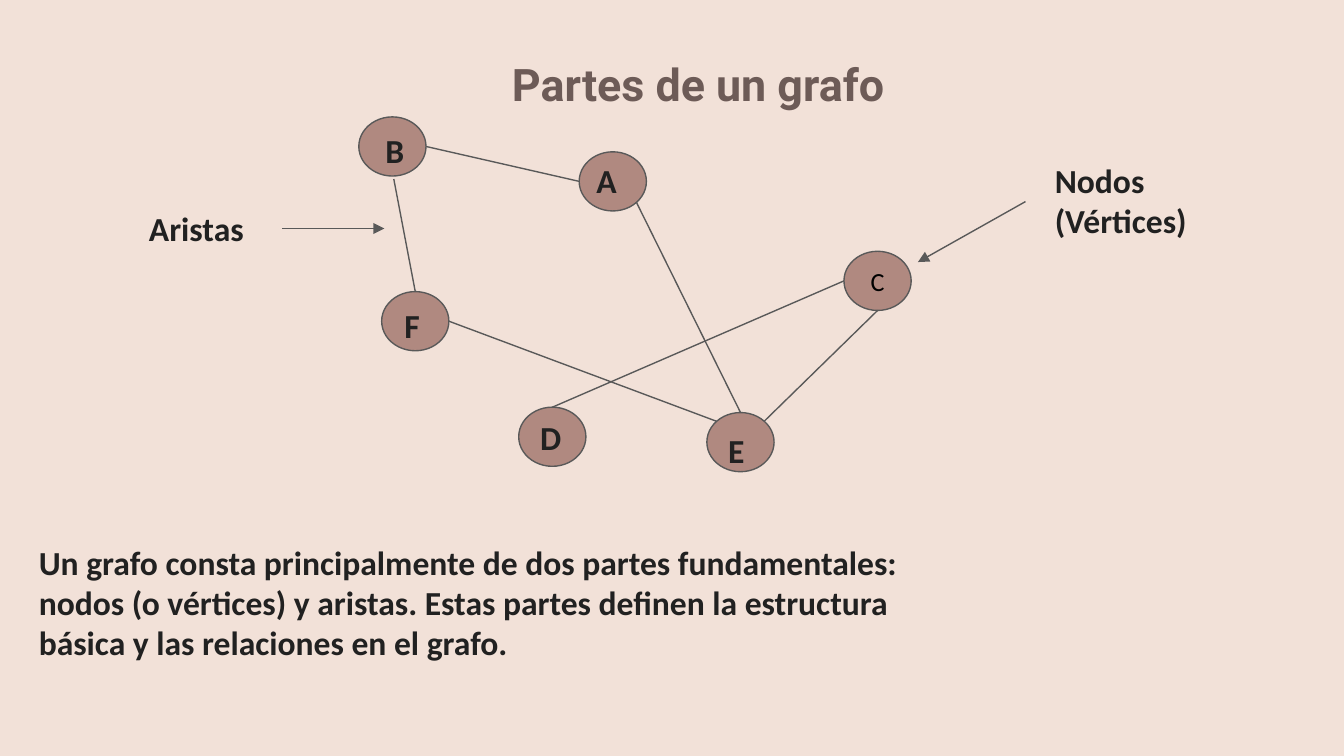
from lxml import etree
from pptx import Presentation
from pptx import util as u
from pptx.dml.color import RGBColor
from pptx.enum import shapes, text
from pptx.oxml.ns import qn

W = 10
H = W * 9 / 16
NODE_W, NODE_H = 0.5, 0.44
BACK, NODE, LINE, INK, HEAD = "F2E1D8", "B08980", "595959", "212121", "6D5B57"

NODES = {
    "B": (2.67, 0.87), "F": (2.84, 2.17), "E": (5.26, 3.07),
    "D": (3.86, 3.03), "C": (6.28, 1.87), "A": (4.31, 1.13),
}
PORTS = {
    "top": (0.5, 0), "left": (0, 0.5), "bottom": (0.5, 1), "right": (1, 0.5),
    "top left": (0.15, 0.15), "top right": (0.85, 0.15),
    "bottom right": (0.85, 0.85), "below": (0.52, 1.05),
}
EDGES = [
    ("B", "below", "F", "top"),
    ("F", "right", "E", "top left"),
    ("B", "right", "A", "left"),
    ("D", "top", "C", "left"),
    ("A", "bottom right", "E", "top"),
    ("C", "bottom", "E", "top right"),
]
LETTER_OFFSETS = {
    "A": (0.03, -0.04), "F": (0.07, 0), "B": (0.1, 0),
    "E": (0.06, 0.03), "D": (0.06, -0.03),
}
POINTERS = [((7.63, 1.5), (6.83, 1.95)), ((2.1, 1.7), (2.86, 1.7))]
TITLE = ("Partes de un grafo", (0.98, 0.32, 8.43, 0.63))
NOTES = [
    ("Nodos (Vértices)", (7.75, 1.09, 1.85, 0.81)),
    ("Aristas", (1.01, 1.45, 1.02, 0.5)),
    ("Un grafo consta principalmente de dos partes fundamentales: nodos (o vértices) "
     "y aristas. Estas partes definen la estructura básica y las relaciones en el grafo.",
     (0.19, 3.93, 7.09, 1.11)),
]


def rgb(value):
    return RGBColor.from_string(value)


def inches(values):
    return [u.Inches(v) for v in values]


def write(sp, words, size=18, font="Calibri", color=INK, bold=True,
          align=text.PP_ALIGN.LEFT, anchor=text.MSO_ANCHOR.TOP):
    tf = sp.text_frame
    tf.word_wrap = True
    tf.vertical_anchor = anchor
    tf.margin_left = tf.margin_right = tf.margin_top = tf.margin_bottom = u.Inches(0.1)
    p = tf.paragraphs[0]
    p.alignment = align
    r = p.add_run()
    r.text = words
    r.font.size, r.font.name, r.font.bold = u.Pt(size), font, bold
    r.font.color.rgb = rgb(color)


def add_text(s, words, box, **style):
    sp = s.shapes.add_textbox(*inches(box))
    write(sp, words, **style)


def outline(sp):
    sp.line.color.rgb = rgb(LINE)
    sp.line.width = u.Pt(0.75)


def add_node(s, spot):
    sp = s.shapes.add_shape(shapes.MSO_SHAPE.OVAL, *inches((*spot, NODE_W, NODE_H)))
    sp.shadow.inherit = False
    sp.fill.solid()
    sp.fill.fore_color.rgb = rgb(NODE)
    outline(sp)
    return sp


def add_line(s, start, end, arrow=False):
    cx = s.shapes.add_connector(shapes.MSO_CONNECTOR.STRAIGHT, *inches((*start, *end)))
    outline(cx)
    props = cx._element.spPr
    if arrow:
        etree.SubElement(props.find(qn("a:ln")), qn("a:tailEnd"), type="triangle")
    etree.SubElement(props, qn("a:effectLst"))


def port(name, side):
    (x, y), (fx, fy) = NODES[name], PORTS[side]
    return x + fx * NODE_W, y + fy * NODE_H


def main():
    prs = Presentation()
    prs.slide_width, prs.slide_height = inches((W, H))
    s = prs.slides.add_slide(prs.slide_layouts[6])
    s.background.fill.solid()
    s.background.fill.fore_color.rgb = rgb(BACK)

    words, box = TITLE
    add_text(s, words, box, size=24, font="Roboto", color=HEAD,
             align=text.PP_ALIGN.CENTER)

    for name, spot in NODES.items():
        sp = add_node(s, spot)
        if name not in LETTER_OFFSETS:
            write(sp, name, size=14, color="000000", bold=False,
                  align=text.PP_ALIGN.CENTER, anchor=text.MSO_ANCHOR.MIDDLE)
    for a, side_a, b, side_b in EDGES:
        add_line(s, port(a, side_a), port(b, side_b))
    for name, (dx, dy) in LETTER_OFFSETS.items():
        x, y = NODES[name]
        add_text(s, name, (x + dx, y + dy, 0.37, 0.5))

    for start, end in POINTERS:
        add_line(s, start, end, arrow=True)
    for words, box in NOTES:
        add_text(s, words, box)
    prs.save("out.pptx")


if __name__ == "__main__":
    main()
